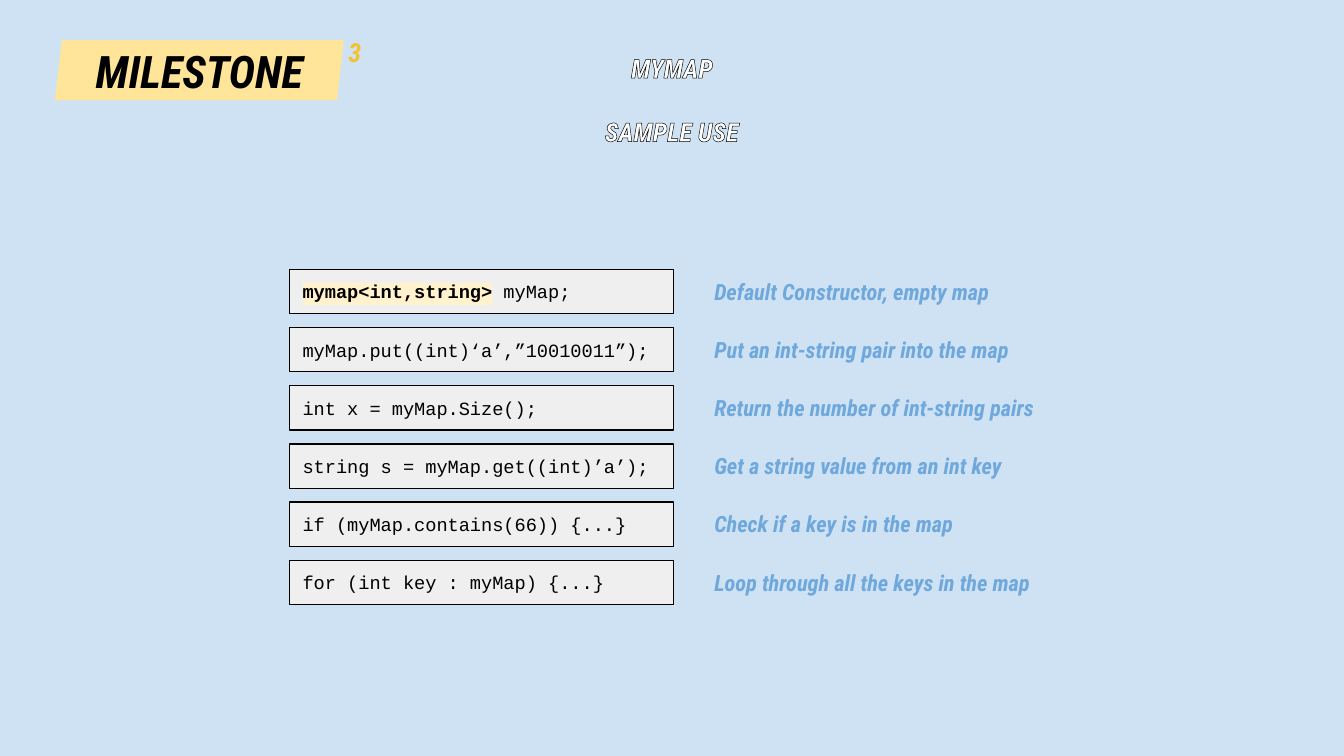
from typing import NamedTuple, Optional

from lxml.etree import SubElement
from pptx import Presentation
from pptx.dml.color import RGBColor
from pptx.enum.shapes import MSO_SHAPE
from pptx.enum.text import MSO_ANCHOR, MSO_AUTO_SIZE, PP_ALIGN
from pptx.oxml.ns import qn
from pptx.util import Cm, Pt


class Box(NamedTuple):
    left: float
    top: float
    width: float
    height: float


class Heading(NamedTuple):
    text: str
    box: Box
    color: Optional[str]
    outline: str
    outline_width: float


class Sample(NamedTuple):
    code: str
    meaning: str
    declared_type: str = ""


HEADINGS = [
    Heading("3", Box(6.17, 0.56, 1.07, 1.6), None, "F1C232", 1.5),
    Heading("MYMAP", Box(10.73, 0.86, 3.94, 0.99), "FFFFFF", "000000", 1.5),
    Heading("SAMPLE USE", Box(10.42, 2.06, 4.55, 0.66), "FFFFFF", "000000", 0.75),
]
SAMPLES = [
    Sample(" myMap;", "Default Constructor, empty map", "mymap<int,string>"),
    Sample("myMap.put((int)‘a’,”10010011”);", "Put an int-string pair into the map"),
    Sample("int x = myMap.Size();", "Return the number of int-string pairs"),
    Sample("string s = myMap.get((int)’a’);", "Get a string value from an int key"),
    Sample("if (myMap.contains(66)) {...}", "Check if a key is in the map"),
    Sample("for (int key : myMap) {...}", "Loop through all the keys in the map"),
]
ROW_PITCH = 1.1
INSET = 0.25
TITLE_FONT = {"name": "Roboto Condensed", "size": Pt(24), "bold": True, "italic": True}
HEADING_FONT = {**TITLE_FONT, "size": Pt(14)}
MEANING_FONT = {**TITLE_FONT, "size": Pt(12)}
CODE_FONT = {"name": "Courier New", "size": Pt(10)}
TYPE_FONT = {**CODE_FONT, "bold": True}


def rgb(color: str) -> RGBColor:
    return RGBColor.from_string(color)


def set_all(target, values: dict) -> None:
    for name, value in values.items():
        setattr(target, name, value)


def add_run(p, text: str, font: dict, color: Optional[str]):
    r = p.add_run()
    r.text = text
    set_all(r.font, font)
    if color:
        r.font.color.rgb = rgb(color)
    else:
        r.font.fill.background()
    return r


def add_solid_fill(parent, color: str) -> None:
    fill = SubElement(parent, qn("a:solidFill"))
    SubElement(fill, qn("a:srgbClr"), val=color)


def outline_text(r, color: str, width: float) -> None:
    props = r.font._element
    line = SubElement(props, qn("a:ln"), w=str(int(Pt(width))))
    add_solid_fill(line, color)
    props.insert(0, line)


def highlight(r, color: str) -> None:
    props = r.font._element
    mark = SubElement(props, qn("a:highlight"))
    SubElement(mark, qn("a:srgbClr"), val=color)
    props.find(qn("a:latin")).addprevious(mark)


def set_frame(tf, inset: float) -> None:
    sides = ("left", "top", "right", "bottom")
    set_all(tf, {f"margin_{side}": Cm(inset) for side in sides})
    tf.word_wrap = True


def add_panel(s, kind, box: Box, fill: str, align):
    sp = s.shapes.add_shape(kind, *map(Cm, box))
    sp.shadow.inherit = False
    sp.fill.solid()
    sp.fill.fore_color.rgb = rgb(fill)
    sp.line.fill.background()
    set_frame(sp.text_frame, INSET)
    sp.text_frame.vertical_anchor = MSO_ANCHOR.MIDDLE
    sp.text_frame.paragraphs[0].alignment = align
    return sp


def add_title(s, text: str) -> None:
    box = Box(1.04, 0.76, 5.46, 1.14)
    sp = add_panel(s, MSO_SHAPE.PARALLELOGRAM, box, "FFE599", PP_ALIGN.CENTER)
    sp.adjustments[0] = 0.115
    add_run(sp.text_frame.paragraphs[0], text, TITLE_FONT, "000000")


def add_heading(s, heading: Heading) -> None:
    tf = s.shapes.add_textbox(*map(Cm, heading.box)).text_frame
    tf.word_wrap = True
    p = tf.paragraphs[0]
    p.alignment = PP_ALIGN.CENTER
    r = add_run(p, heading.text, HEADING_FONT, heading.color)
    outline_text(r, heading.outline, heading.outline_width)


def add_code(s, sample: Sample, offset: float) -> None:
    box = Box(5.47, 5.09 + offset, 7.26, 0.84)
    sp = add_panel(s, MSO_SHAPE.RECTANGLE, box, "EFEFEF", PP_ALIGN.LEFT)
    sp.line.color.rgb = rgb("000000")
    sp.line.width = Pt(0.75)
    p = sp.text_frame.paragraphs[0]
    if sample.declared_type:
        highlight(add_run(p, sample.declared_type, TYPE_FONT, "000000"), "FFF2CC")
    add_run(p, sample.code, CODE_FONT, "000000")


def add_meaning(s, sample: Sample, offset: float) -> None:
    box = Box(13.25, 5 + offset, 7.09, 1.02)
    tf = s.shapes.add_textbox(*map(Cm, box)).text_frame
    set_frame(tf, INSET)
    tf.auto_size = MSO_AUTO_SIZE.SHAPE_TO_FIT_TEXT
    add_run(tf.paragraphs[0], sample.meaning, MEANING_FONT, "6FA8DC")


def main() -> None:
    prs = Presentation()
    set_all(prs, {"slide_width": Cm(25.4), "slide_height": Cm(14.29)})
    s = prs.slides.add_slide(prs.slide_layouts[6])
    s.background.fill.solid()
    s.background.fill.fore_color.rgb = rgb("CFE2F3")
    add_title(s, "MILESTONE")
    for heading in HEADINGS:
        add_heading(s, heading)
    for add_cell in (add_code, add_meaning):
        for row, sample in enumerate(SAMPLES):
            add_cell(s, sample, row * ROW_PITCH)
    prs.save("out.pptx")


if __name__ == "__main__":
    main()
